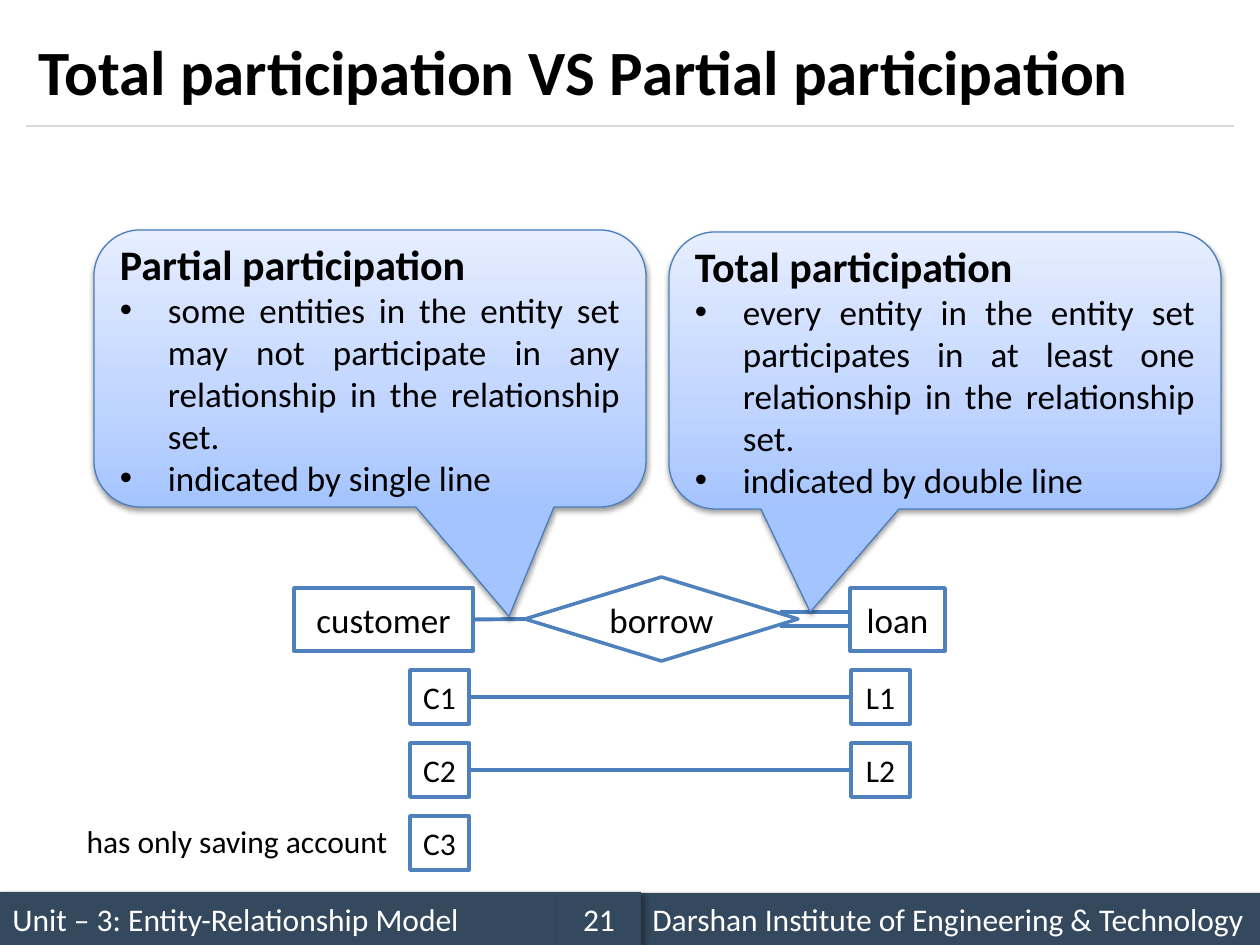
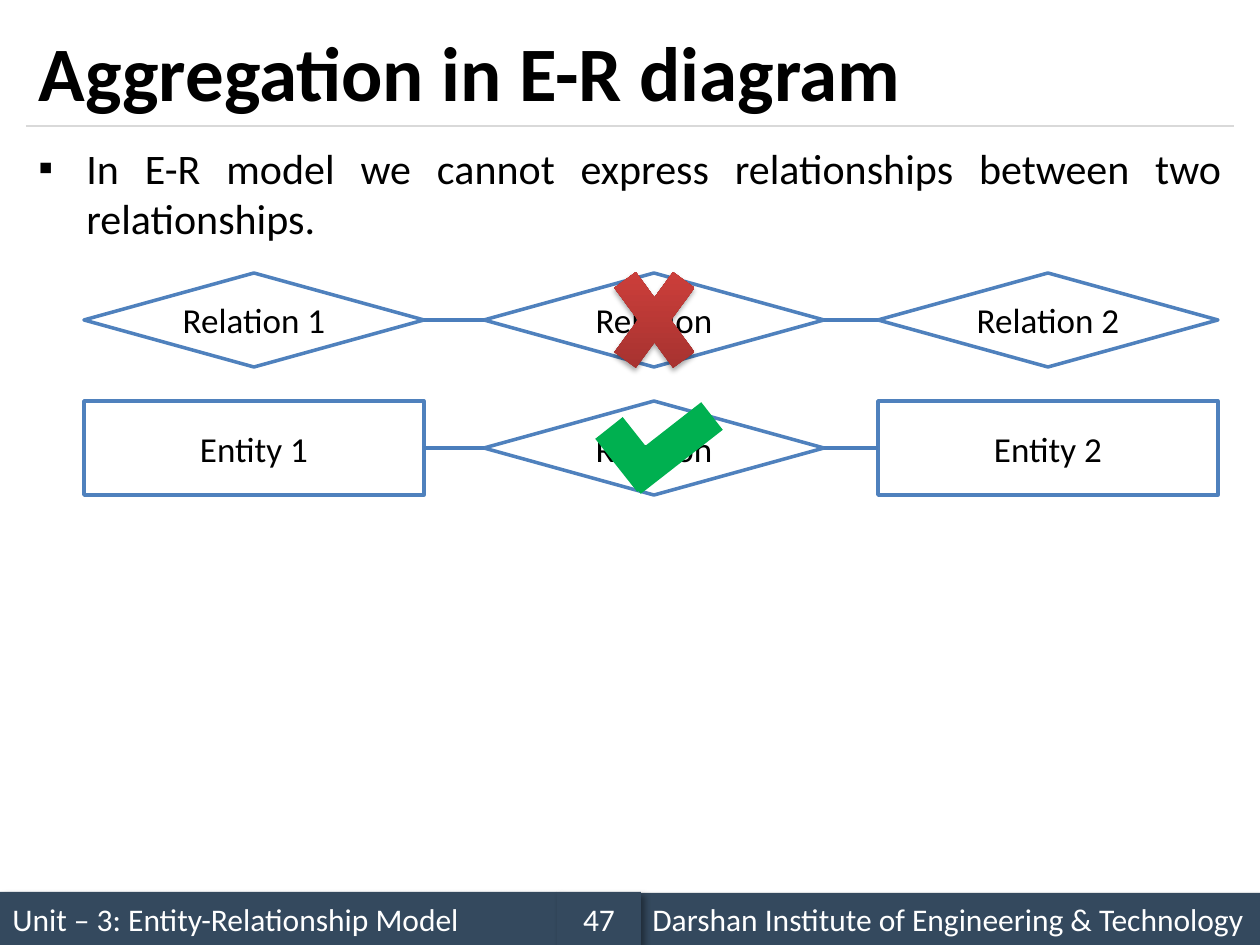
from lxml.etree import SubElement as Sub
from pptx import Presentation
from pptx.dml.color import RGBColor
from pptx.enum.shapes import MSO_CONNECTOR as Conn, MSO_SHAPE as Kind
from pptx.enum.text import MSO_ANCHOR as Anchor, MSO_AUTO_SIZE as Fit, PP_ALIGN as Align
from pptx.oxml.ns import qn
from pptx.util import Emu, Pt

FONT = "Calibri"
BLACK = RGBColor(0x00, 0x00, 0x00)
WHITE = RGBColor(0xFF, 0xFF, 0xFF)
SLATE = RGBColor(0x34, 0x49, 0x5E)
GREY = RGBColor(0xD9, 0xD9, 0xD9)
EDGE = RGBColor(0x4F, 0x81, 0xBD)
LINK = RGBColor(0x4B, 0x7E, 0xBC)
GREEN = RGBColor(0x00, 0xB0, 0x50)
SKY = [(0, RGBColor(0xA4, 0xC4, 0xFF)), (35, RGBColor(0xBF, 0xD4, 0xFF)),
       (100, RGBColor(0xE6, 0xEE, 0xFF))]
REDS = [(0, RGBColor(0x9C, 0x2F, 0x2D)), (80, RGBColor(0xCB, 0x3E, 0x3A)),
        (100, RGBColor(0xCE, 0x3B, 0x37))]
# Shadows: opacity in percent, blur and distance in points, angle in degrees
BAR_SHADE = (40, 4, 3, 45)
CALL_SHADE = (38, 3.1, 1.6, 90)
CROSS_SHADE = (35, 3.1, 1.8, 90)
INDENT = 48


def px(n):
    return Emu(round(n * 914400 / 126))


def write(frame, text, size=20, color=BLACK, bold=False, align=Align.LEFT, bullet=None):
    """Add a paragraph, using the first one while it is still empty."""
    para = frame.paragraphs[0] if not frame.text else frame.add_paragraph()
    para.alignment = align
    if bullet:
        props = para._p.get_or_add_pPr()
        props.set("marL", str(px(INDENT)))
        props.set("indent", str(-px(INDENT)))
        Sub(props, qn("a:buFont"), typeface="Arial")
        Sub(props, qn("a:buChar"), char=bullet)
    run = para.add_run()
    run.text = text
    font = run.font
    font.name, font.size, font.bold = FONT, Pt(size), bold
    font.color.rgb = color


def tint(parent, color):
    return Sub(parent, qn("a:srgbClr"), val=str(color))


def blend(shape, stops):
    """Fill from bottom to top through the given stops."""
    shape.fill.gradient()
    shape.fill.gradient_angle = 90
    ramp = shape.element.spPr.find(qn("a:gradFill")).find(qn("a:gsLst"))
    ramp.clear()
    for pos, color in stops:
        tint(Sub(ramp, qn("a:gs"), pos=str(pos * 1000)), color)


def shade(shape, alpha, blur, dist, angle):
    effects = shape.element.spPr.find(qn("a:effectLst"))
    cast = Sub(effects, qn("a:outerShdw"), blurRad=str(Pt(blur)), dist=str(Pt(dist)),
               dir=str(angle * 60000), algn="tl", rotWithShape="0")
    Sub(tint(cast, BLACK), qn("a:alpha"), val=str(alpha * 1000))


def draw(slide, kind, box, fill=WHITE, edge=EDGE, width=2, shadow=None):
    """Add a preset shape; a list as fill makes a gradient."""
    shape = slide.shapes.add_shape(kind, *map(px, box))
    if isinstance(fill, list):
        blend(shape, fill)
    else:
        shape.fill.solid()
        shape.fill.fore_color.rgb = fill
    if edge is None:
        shape.line.fill.background()
    else:
        shape.line.color.rgb = edge
        shape.line.width = Pt(width)
    shape.shadow.inherit = False
    if shadow:
        shade(shape, *shadow)
    shape.text_frame.vertical_anchor = Anchor.MIDDLE
    return shape


def node(slide, kind, box, text, size=20):
    shape = draw(slide, kind, box)
    write(shape.text_frame, text, size=size, align=Align.CENTER)
    return shape


def line(slide, start, end, color=LINK, width=2.25):
    link = slide.shapes.add_connector(Conn.STRAIGHT, *map(px, (*start, *end)))
    link.line.color.rgb = color
    link.line.width = Pt(width)
    Sub(link.element.spPr, qn("a:effectLst"))
    return link


def join(slide, left, right):
    """Link the right side of one shape to the left side of the next."""
    link = line(slide, (0, 0), (0, 0))
    link.begin_connect(left, 3)
    link.end_connect(right, 1)


def label(slide, box, text, **look):
    frame = slide.shapes.add_textbox(*map(px, box)).text_frame
    frame.word_wrap = True
    write(frame, text, **look)


def footer(slide, box, page):
    x, y, w, h = box
    mid, end = x + 557, x + 640
    for part, text, align in (
            ((x, y, mid - x, h), "Unit – 3: Entity-Relationship Model", Align.LEFT),
            ((end, y + 1, x + w - end, h - 1),
             "Darshan Institute of Engineering & Technology", Align.LEFT),
            ((mid, y, end - mid + 1, h), str(page), Align.CENTER)):
        bar = draw(slide, Kind.RECTANGLE, part, fill=SLATE, edge=None, shadow=BAR_SHADE)
        write(bar.text_frame, text, size=18, color=WHITE, align=align)


def start(deck, title, size, page):
    """Add a slide with the shared title, rule and footer."""
    slide = deck.slides.add_slide(deck.slide_layouts[5])
    footer(slide, (0, 892, 1260, 53), page)
    line(slide, (26, 126), (1234, 126), color=GREY, width=0.75)
    head = slide.shapes.title
    head.left, head.top, head.width, head.height = map(px, (26, 15, 1208, 111))
    frame = head.text_frame
    frame.auto_size = Fit.NONE
    frame.vertical_anchor = Anchor.MIDDLE
    write(frame, title, size=size, bold=True)
    return slide


def callout(slide, box, tip, title, points):
    shape = draw(slide, Kind.ROUNDED_RECTANGULAR_CALLOUT, box,
                 fill=SKY, edge=LINK, width=0.75, shadow=CALL_SHADE)
    for i, value in enumerate((*tip, 0.167)):
        shape.adjustments[i] = value
    write(shape.text_frame, title, size=24, bold=True)
    for point in points:
        write(shape.text_frame, point, align=Align.JUSTIFY, bullet="•")


def model(slide, box):
    """Draw customer, borrow and loan, with single and double lines."""
    x, y, w, h = box
    mid = y + h // 2
    buyer = node(slide, Kind.RECTANGLE, (x, mid - 31, 179, 63), "customer")
    loan = node(slide, Kind.RECTANGLE, (x + w - 95, mid - 31, 95, 63), "loan")
    borrow = node(slide, Kind.DIAMOND, (x + 231, y, 273, h), "borrow")
    join(slide, buyer, borrow)
    for gap in (-7, 7):
        line(slide, (x + 486, mid + gap), (x + w - 95, mid + gap))


def members(slide, box, step=73):
    """Draw the entities of both sets and link those that take part."""
    x, y, w, h = box
    side = 59

    def column(left, names):
        return [node(slide, Kind.RECTANGLE, (left, y + i * step, side, 54), name, size=18)
                for i, name in enumerate(names)]

    people = column(x, ("C1", "C2", "C3"))
    loans = column(x + w - side, ("L1", "L2"))
    for pair in zip(people, loans):
        join(slide, *pair)
    label(slide, (x - 346, y + 2 * step, 336, 50), "has only saving account",
          size=18, align=Align.RIGHT)


def chain(slide, box, end, names):
    """Draw two end shapes with a relation diamond between them."""
    x, y, w, h = box
    wide = 340
    parts = [node(slide, kind, (left, y, wide, h), name) for kind, left, name in zip(
        (end, Kind.DIAMOND, end), (x, x + 400, x + w - wide), names)]
    for pair in zip(parts, parts[1:]):
        join(slide, *pair)


def cross(slide, box):
    draw(slide, Kind.MATH_MULTIPLY, box, fill=REDS, edge=None, shadow=CROSS_SHADE)


def check(slide, box):
    x, y, w, h = box
    line(slide, (x, y + 12), (x + 42, y + h), color=GREEN, width=20)
    line(slide, (x + 21, y + h - 1), (x + w, y), color=GREEN, width=20)


def compare(deck):
    slide = start(deck, "Total participation VS Partial participation", 36, 21)
    model(slide, (294, 577, 651, 84))
    members(slide, (410, 670, 500, 200))
    callout(slide, (669, 232, 552, 277), (-0.244, 0.872), "Total participation",
            ("every entity in the entity set participates in at least one "
             "relationship in the relationship set.", "indicated by double line"))
    callout(slide, (94, 230, 552, 277), (0.252, 0.895), "Partial participation",
            ("some entities in the entity set may not participate in any "
             "relationship in the relationship set.", "indicated by single line"))


def combine(deck):
    slide = start(deck, "Aggregation in E-R diagram", 44, 47)
    label(slide, (26, 136, 1208, 735),
          "In E-R model we cannot express relationships between two relationships.",
          size=24, align=Align.JUSTIFY, bullet="▪")
    chain(slide, (84, 273, 1134, 94), Kind.DIAMOND, ("Relation 1", "Relation", "Relation 2"))
    cross(slide, (598, 243, 113, 154))
    chain(slide, (84, 401, 1134, 94), Kind.RECTANGLE, ("Entity 1", "Relation", "Entity 2"))
    check(slide, (609, 416, 103, 65))


def main():
    deck = Presentation()
    deck.slide_width, deck.slide_height = px(1260), px(945)
    compare(deck)
    combine(deck)
    deck.save("out.pptx")


if __name__ == "__main__":
    main()
